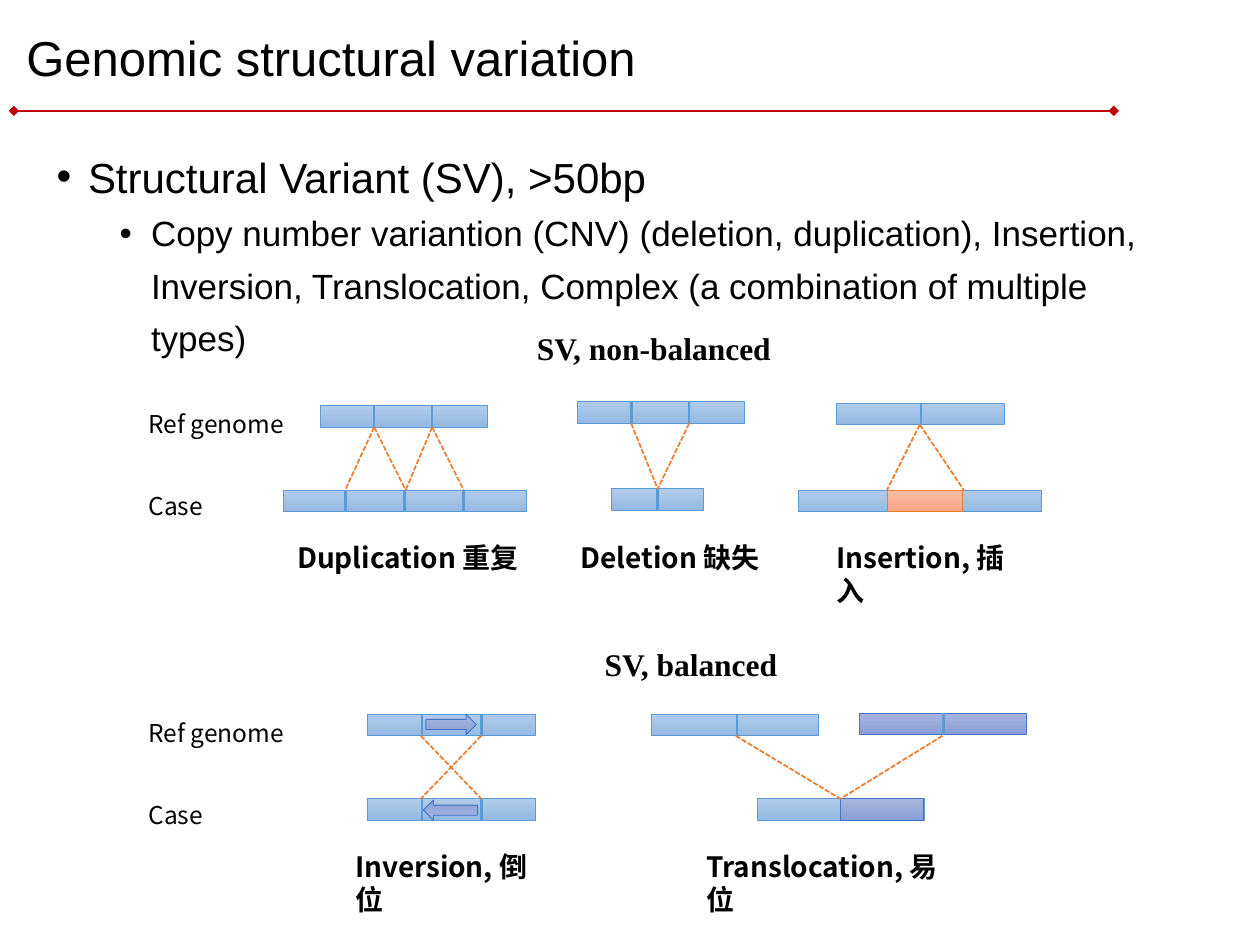
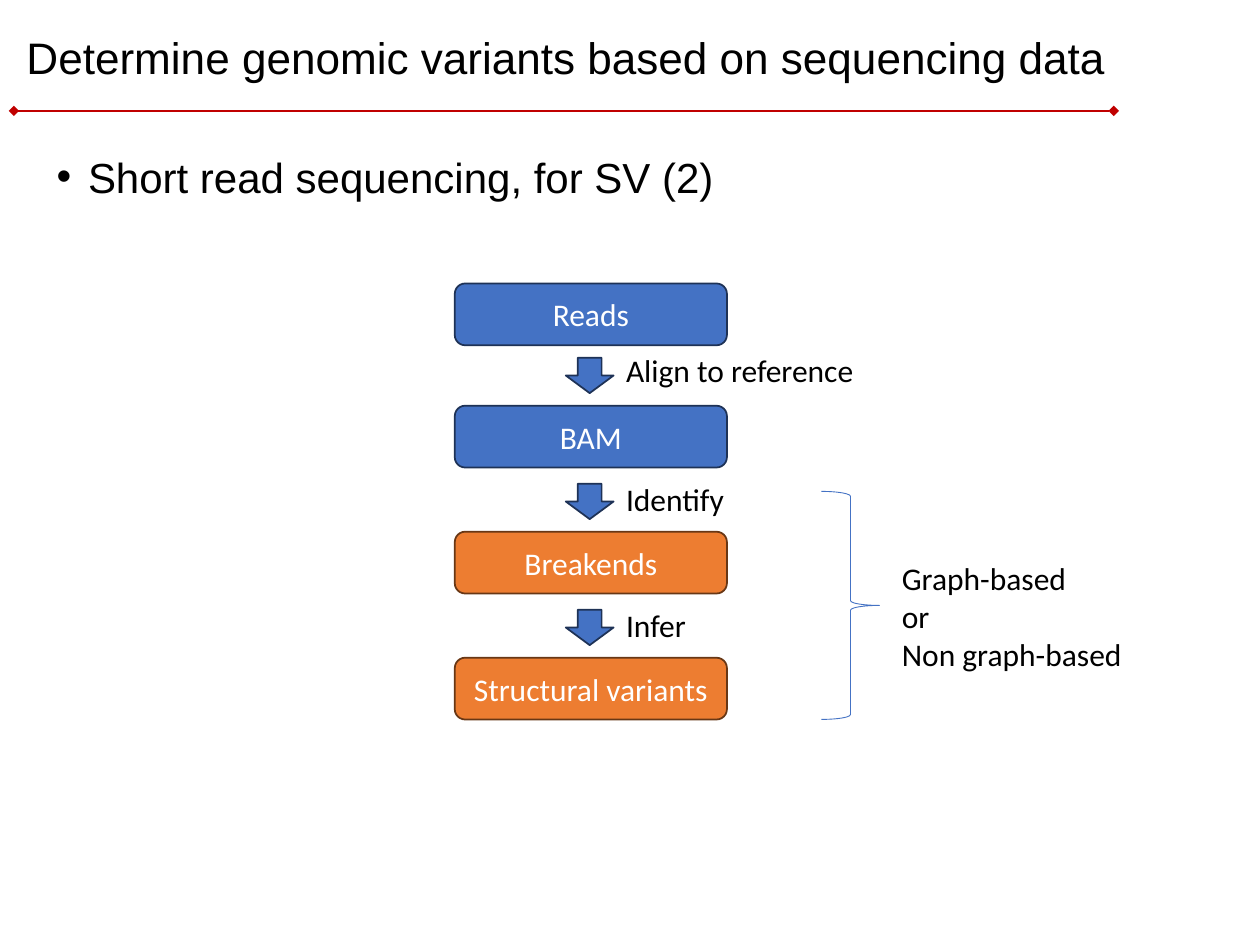
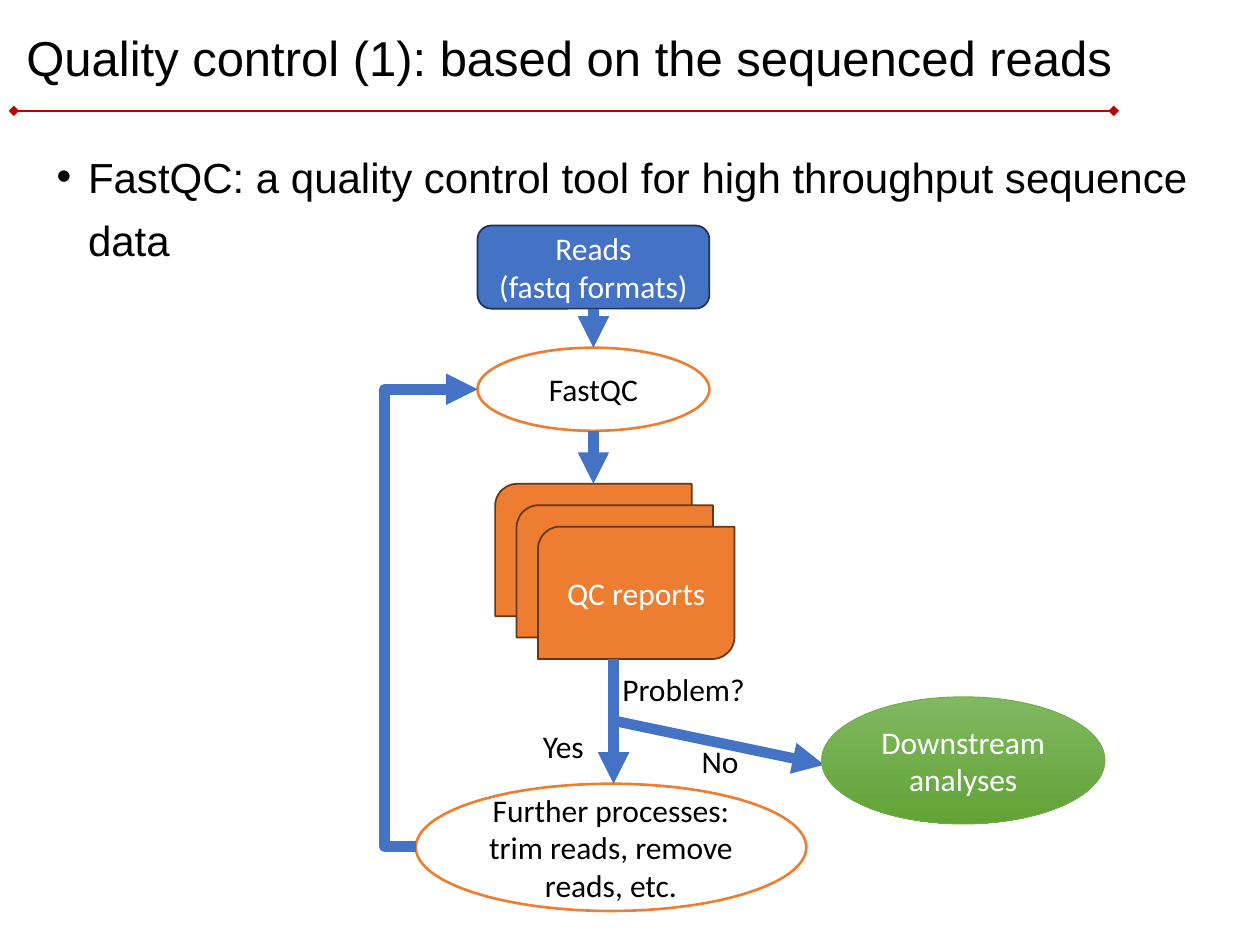
import lxml.etree
import pptx
import pptx.dml.color
import pptx.enum.dml
import pptx.enum.shapes
import pptx.enum.text
import pptx.oxml.ns
import pptx.util

Inches = pptx.util.Inches
Pt = pptx.util.Pt
SHAPE = pptx.enum.shapes.MSO_SHAPE
CONNECTOR = pptx.enum.shapes.MSO_CONNECTOR
ALIGN = pptx.enum.text.PP_ALIGN
ANCHOR = pptx.enum.text.MSO_ANCHOR
qn = pptx.oxml.ns.qn

BLACK, WHITE, RULE_RED = "000000", "FFFFFF", "C00000"
BLUE, BLUE_EDGE = "4472C4", "1E3256"
ORANGE, ORANGE_EDGE = "ED7D31", "683715"
CUT_BLUE = "5B9BD5"
# Soft gradients: top colour, bottom colour, outline
SKY = ("B1CBE9", "93B9E4", CUT_BLUE)
PEACH = ("F7BDA5", "F8A582", ORANGE)
INDIGO = ("A8B7DF", "889ED7", BLUE)
GREEN = ("81B861", "62A336", "70AD47")

CJK_FONT = "Noto Sans CJK SC"
BAR_HEIGHT = 0.17


def rgb(hex_code):
    return pptx.dml.color.RGBColor.from_string(hex_code)


def write(frame, text, size=18, font="Calibri", color=BLACK, bold=False, align=ALIGN.LEFT):
    """Fill a text frame, one paragraph for each line of text."""
    for number, line in enumerate(text.split("\n")):
        paragraph = frame.paragraphs[0] if number == 0 else frame.add_paragraph()
        paragraph.text = line
        paragraph.alignment = align
        paragraph.font.size = Pt(size)
        paragraph.font.name = font
        paragraph.font.bold = bold
        paragraph.font.color.rgb = rgb(color)
        if font == CJK_FONT:
            defaults = paragraph._p.pPr.find(qn("a:defRPr"))
            lxml.etree.SubElement(defaults, qn("a:ea"), typeface=font)


def add_label(slide, text, left, top, width, height=0.4, wrap=False, **style):
    box = slide.shapes.add_textbox(Inches(left), Inches(top), Inches(width), Inches(height))
    box.text_frame.word_wrap = wrap
    write(box.text_frame, text, **style)


def add_shape(slide, kind, left, top, width, height, fill, edge, weight=1, text="", color=WHITE):
    """Draw a preset shape; fill is a hex colour, a gradient pair, or None."""
    shape = slide.shapes.add_shape(kind, Inches(left), Inches(top), Inches(width), Inches(height))
    shape.shadow.inherit = False
    if fill is None:
        shape.fill.background()
    elif isinstance(fill, str):
        shape.fill.solid()
        shape.fill.fore_color.rgb = rgb(fill)
    else:
        shape.fill.gradient()
        shape.fill.gradient_angle = 270
        for stop, stop_color, position in zip(shape.fill.gradient_stops, fill, (0, 1)):
            stop.color.rgb = rgb(stop_color)
            stop.position = position
    shape.line.color.rgb = rgb(edge)
    shape.line.width = Pt(weight)
    if text:
        shape.text_frame.word_wrap = True
        shape.text_frame.vertical_anchor = ANCHOR.MIDDLE
        write(shape.text_frame, text, color=color, align=ALIGN.CENTER)
    return shape


def add_soft_shape(slide, kind, left, top, width, height, palette, text=""):
    return add_shape(slide, kind, left, top, width, height, palette[:2], palette[2], 0.5, text)


def add_line(slide, start, end, color, weight, kind=CONNECTOR.STRAIGHT,
             dashed=False, head=None, tail=None):
    line = slide.shapes.add_connector(kind, *map(Inches, start + end))
    line.line.color.rgb = rgb(color)
    line.line.width = Pt(weight)
    if dashed:
        line.line.dash_style = pptx.enum.dml.MSO_LINE.SQUARE_DOT
    properties = line._element.spPr
    outline = properties.find(qn("a:ln"))
    for tag, ending in (("a:headEnd", head), ("a:tailEnd", tail)):
        if ending:
            lxml.etree.SubElement(outline, qn(tag), type=ending)
    lxml.etree.SubElement(properties, qn("a:effectLst"))
    return line


def add_flow(slide, start, end, kind=CONNECTOR.STRAIGHT):
    return add_line(slide, start, end, BLUE, 6, kind, tail="triangle")


def add_bullet(frame, text, level):
    paragraph = frame.add_paragraph() if level else frame.paragraphs[0]
    paragraph.text = text
    paragraph.level = level
    paragraph.line_spacing = 1.25
    properties = paragraph._p.pPr
    properties.set("marL", str(Inches(0.25 + 0.5 * level)))
    properties.set("indent", str(Inches(-0.25)))
    lxml.etree.SubElement(properties, qn("a:buFont"), typeface="Arial")
    lxml.etree.SubElement(properties, qn("a:buChar"), char="•")
    paragraph.font.size = Pt(24 - 4 * level)
    paragraph.font.name = "Arial"
    paragraph.font.color.rgb = rgb(BLACK)


def add_titled_slide(deck, title, bullets, title_size=28, title_width=9.07):
    """Add a slide with title, red rule and bullets, each one level deeper."""
    slide = deck.slides.add_slide(deck.slide_layouts[5])
    add_line(slide, (0.11, 0.88), (8.84, 0.88), RULE_RED, 1, head="diamond", tail="diamond")
    heading = slide.shapes.title
    heading.left, heading.top = Inches(0.11), Inches(0.06)
    heading.width, heading.height = Inches(title_width), Inches(0.84)
    heading.text_frame.auto_size = pptx.enum.text.MSO_AUTO_SIZE.NONE
    heading.text_frame.vertical_anchor = ANCHOR.MIDDLE
    write(heading.text_frame, title, title_size, "Arial")
    heading.text_frame.paragraphs[0].line_spacing = 0.9

    body = slide.shapes.add_textbox(Inches(0.35), Inches(1.05), Inches(9.21), Inches(5.71))
    body.text_frame.word_wrap = True
    for level, text in enumerate(bullets):
        add_bullet(body.text_frame, text, level)
    return slide


def add_genome_bar(slide, left, top, width, cuts=(), palette=SKY):
    add_soft_shape(slide, SHAPE.RECTANGLE, left, top, width, BAR_HEIGHT, palette)
    for cut in cuts:
        x = left + cut
        add_line(slide, (x, top), (x, top + BAR_HEIGHT), CUT_BLUE, 1.5)


def add_variant(slide, left, top, bars, links, caption, caption_left, caption_width):
    """Draw reference bars first, case bars last, and dashed links from one to the other."""
    for x, y, *details in bars:
        add_genome_bar(slide, left + x, top + y, *details)
    link_top = top + bars[0][1] + BAR_HEIGHT
    link_bottom = top + bars[-1][1]
    for ref_x, case_x in links:
        add_line(slide, (left + ref_x, link_top), (left + case_x, link_bottom),
                 ORANGE, 1, dashed=True)
    add_label(slide, caption, left + caption_left, top + 1.04, caption_width, 0.37,
              wrap=True, size=16, font=CJK_FONT, bold=True)


def add_row_labels(slide, left, top):
    for text, offset, width in (("Ref genome", 0, 1.34), ("Case", 0.65, 0.65)):
        add_label(slide, text, left, top + offset, width, 0.34, size=14, font=CJK_FONT)


def add_unbalanced_row(slide, left, top):
    add_label(slide, "SV, non-balanced", left + 2.97, top - 0.64, 2.28, wrap=True,
              font="Times New Roman", bold=True, align=ALIGN.CENTER)
    add_row_labels(slide, left, top)
    add_variant(slide, left + 1.17, top,
                [(0.29, 0.02, 1.33, (0.43, 0.89)), (0, 0.69, 1.93, (0.49, 0.96, 1.43))],
                [(0.72, 0.49), (0.72, 0.97), (1.18, 0.97), (1.18, 1.43)],
                "Duplication 重复", 0.01, 2.1)
    add_variant(slide, left + 3.5, top,
                [(0, -0.01, 1.33, (0.43, 0.89)), (0.27, 0.68, 0.73, (0.37,))],
                [(0.43, 0.64), (0.89, 0.64)],
                "Deletion 缺失", -0.07, 1.8)
    add_variant(slide, left + 5.26, top,
                [(0.3, 0, 1.33, (0.67,)), (0, 0.69, 1.93), (0.7, 0.69, 0.6, (), PEACH)],
                [(0.96, 0.7), (0.96, 1.31)],
                "Insertion, 插入", 0.2, 1.75)


def add_balanced_row(slide, left, top):
    add_label(slide, "SV, balanced", left + 3.62, top - 0.58, 1.59,
              font="Times New Roman", bold=True)
    add_row_labels(slide, left, top)
    cuts = (0.43, 0.9)
    add_variant(slide, left + 1.84, top,
                [(0, 0.02, 1.33, cuts), (0, 0.69, 1.33, cuts)],
                [(0.42, 0.9), (0.9, 0.42)],
                "Inversion, 倒位", -0.2, 1.75)
    for x, y, width, turn in ((2.3, 0.02, 0.4, 0), (2.28, 0.7, 0.43, 180)):
        segment = add_soft_shape(slide, SHAPE.RIGHT_ARROW, left + x, top + y, width, 0.16, INDIGO)
        segment.rotation = turn
    add_variant(slide, left + 4.09, top,
                [(0, 0.02, 1.33, (0.68,)), (1.65, 0.01, 1.33, (0.67,), INDIGO),
                 (0.84, 0.69, 1.33), (1.5, 0.69, 0.66, (), INDIGO)],
                [(0.67, 1.5), (2.31, 1.5)],
                "Translocation, 易位", 0.34, 2.2)


def add_calling_steps(slide, left, top):
    steps = (("Reads", 0, BLUE, BLUE_EDGE), ("BAM", 0.97, BLUE, BLUE_EDGE),
             ("Breakends", 1.97, ORANGE, ORANGE_EDGE),
             ("Structural variants", 2.97, ORANGE, ORANGE_EDGE))
    for name, offset, fill, edge in steps:
        add_shape(slide, SHAPE.ROUNDED_RECTANGLE, left, top + offset, 2.16, 0.49,
                  fill, edge, text=name)
    actions = (("Align to reference", 0.49), ("Identify", 1.51), ("Infer", 2.51))
    for number, (action, offset) in enumerate(actions):
        add_shape(slide, SHAPE.DOWN_ARROW, left + 0.88, top + 0.59 + number, 0.38, 0.28,
                  BLUE, BLUE_EDGE)
        add_label(slide, action, left + 1.26, top + offset, 2.58, wrap=True)


def add_method_note(slide, left, top):
    add_shape(slide, SHAPE.RIGHT_BRACE, left, top, 0.46, 1.81, None, BLUE, 0.5)
    add_label(slide, "Graph-based\nor\nNon graph-based", left + 0.54, top + 0.49, 1.97, 1.01)


def add_quality_loop(slide, left, top):
    """Draw the check, report and trim loop; left and top are those of the reads box."""
    def at(x, y):
        return left + x, top + y

    reads = add_shape(slide, SHAPE.ROUNDED_RECTANGLE, left, top, 1.84, 0.66, BLUE, BLUE_EDGE,
                      text="Reads\n(fastq formats)")
    check = add_shape(slide, SHAPE.OVAL, *at(0, 0.97), 1.84, 0.66, WHITE, ORANGE, 1.5,
                      "FastQC", BLACK)
    for number, name in enumerate(("", "", "QC reports")):
        shift = number * 0.17
        add_shape(slide, SHAPE.ROUND_2_DIAG_RECTANGLE, *at(0.14 + shift, 2.05 + shift),
                  1.56, 1.05, ORANGE, ORANGE_EDGE, text=name)
    add_shape(slide, SHAPE.OVAL, *at(-0.49, 4.43), 3.1, 1.01, WHITE, ORANGE, 1.5,
              "Further processes: trim reads, remove reads, etc.", BLACK)

    back = add_flow(slide, at(-0.49, 4.93), at(0, 1.3), CONNECTOR.ELBOW)
    bend = back._element.spPr.find(qn("a:prstGeom")).get_or_add_avLst()
    lxml.etree.SubElement(bend, qn("a:gd"), name="adj1", fmla="val -51000")
    first = add_flow(slide, at(0.92, 0.66), at(0.92, 0.97))
    first.begin_connect(reads, 2)
    first.end_connect(check, 0)
    add_flow(slide, at(0.92, 1.63), at(0.92, 2.05))
    add_flow(slide, at(1.08, 3.44), at(1.08, 4.43))
    add_flow(slide, at(1.08, 3.93), at(2.75, 4.28))

    for text, x, y, width in (("Problem?", 1.05, 3.48, 1.19), ("Yes", 0.42, 3.93, 0.53),
                              ("No", 1.68, 4.05, 0.5)):
        add_label(slide, text, *at(x, y), width)
    add_soft_shape(slide, SHAPE.OVAL, *at(2.73, 3.74), 2.25, 1.01, GREEN, "Downstream analyses")


def main():
    deck = pptx.Presentation()
    deck.slide_width, deck.slide_height = Inches(10), Inches(7.5)

    variation = add_titled_slide(deck, "Genomic structural variation", [
        "Structural Variant (SV), >50bp",
        "Copy number variantion (CNV) (deletion, duplication), Insertion, Inversion, "
        "Translocation, Complex (a combination of multiple types)"])
    add_unbalanced_row(variation, 1.08, 3.2)
    add_balanced_row(variation, 1.08, 5.65)

    calling = add_titled_slide(deck, "Determine genomic variants based on sequencing data",
                               ["Short read sequencing, for SV (2)"], 25.2, 9.71)
    add_calling_steps(calling, 3.61, 2.25)
    add_method_note(calling, 6.52, 3.9)

    quality = add_titled_slide(deck, "Quality control (1): based on the sequenced reads", [
        "FastQC: a quality control tool for high throughput sequence data"])
    add_quality_loop(quality, 3.79, 1.79)

    deck.save("out.pptx")


if __name__ == "__main__":
    main()
